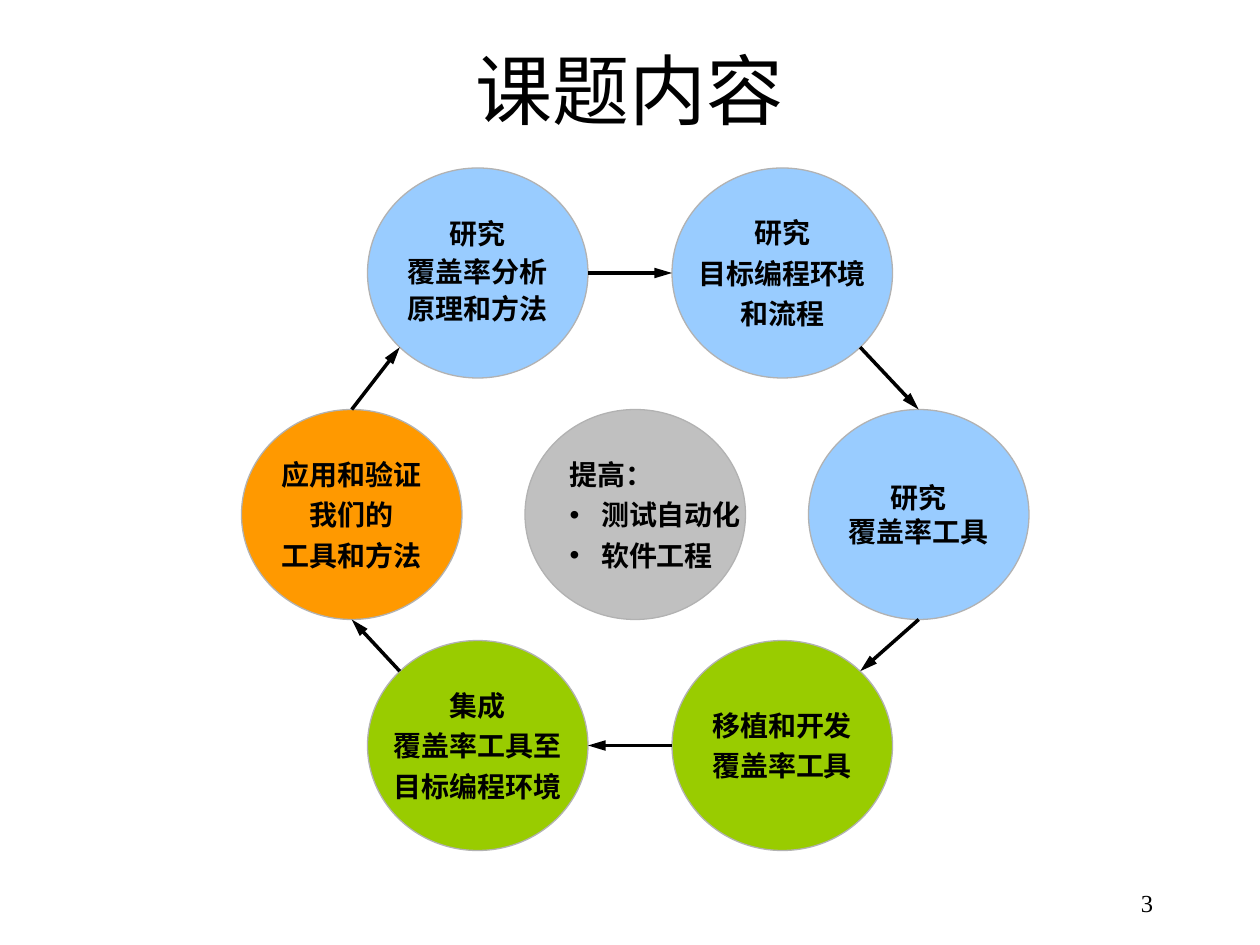
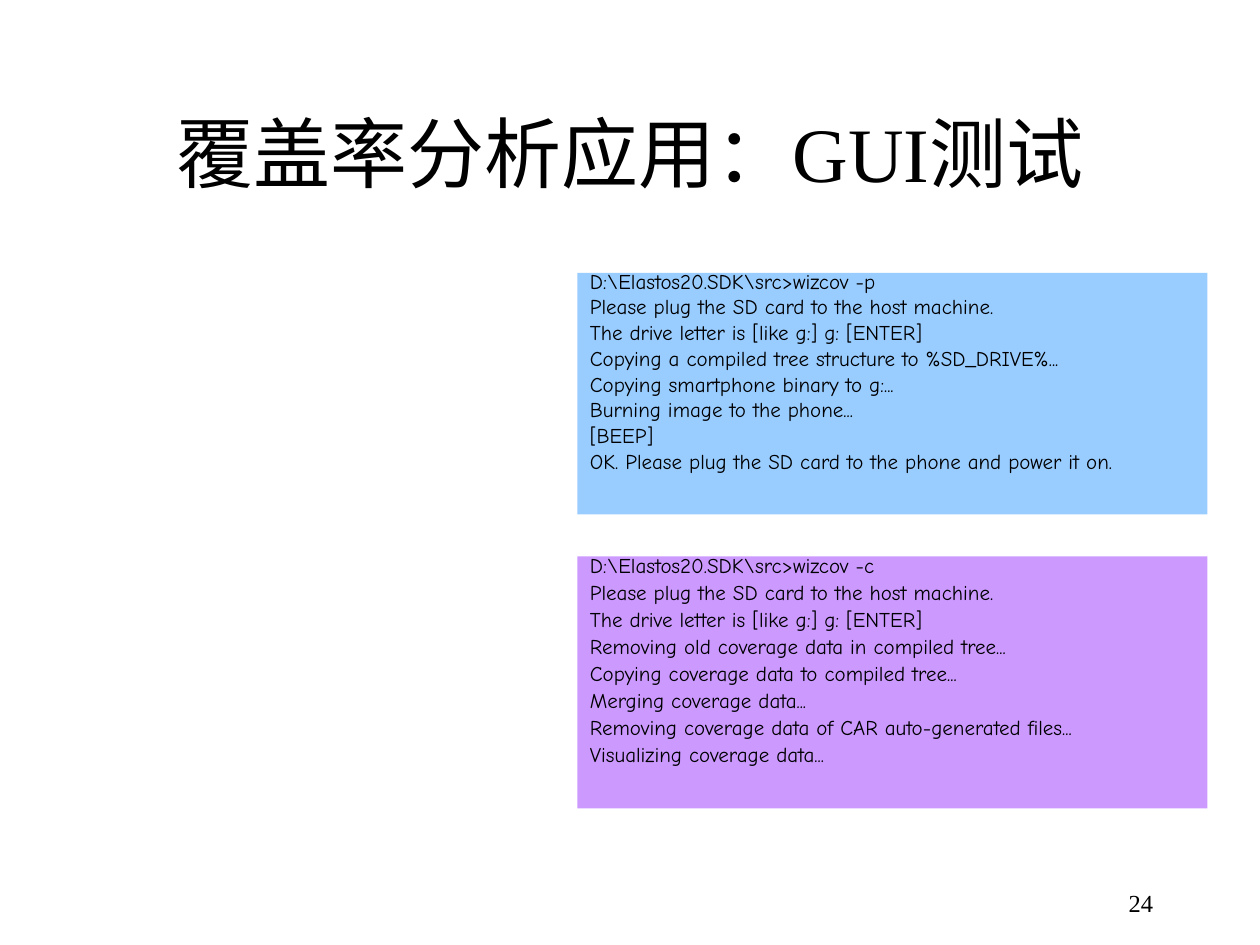
from math import cos, radians, sin

from lxml import etree
from pptx import Presentation
from pptx.dml.color import RGBColor
from pptx.enum.shapes import MSO_CONNECTOR as CONN, MSO_SHAPE as SHAPE
from pptx.enum.text import MSO_ANCHOR as ANCHOR, PP_ALIGN as ALIGN
from pptx.oxml.ns import qn
from pptx.util import Pt

SERIF, COMIC = "Times New Roman", "Comic Neue"
BLACK, GREY, RIM = "000000", "C0C0C0", "B2B2B2"
BLUE, GREEN, ORANGE, VIOLET = "99CCFF", "99CC00", "FF9900", "CC99FF"
CIRCLE_W, CIRCLE_H = 126, 120
TOP, MIDDLE, BOTTOM = 96, 234, 366
BULLET_INDENT = 18

STEPS = [
    (210, TOP, BLUE, ["研究", "覆盖率分析", "原理和方法"],
     dict(before=4, spacing=0.9)),
    (384, TOP, BLUE, ["研究", "目标编程环境", "和流程"], dict(before=4)),
    (462, MIDDLE, BLUE, ["研究", "覆盖率工具"], {}),
    (384, BOTTOM, GREEN, ["移植和开发", "覆盖率工具"], dict(before=4)),
    (210, BOTTOM, GREEN, ["集成", "覆盖率工具至", "目标编程环境"], dict(before=4)),
    (138, MIDDLE, ORANGE, ["应用和验证", "我们的", "工具和方法"], dict(before=4)),
]
ARROW_ANGLES = [(0, 180), (45, 270), (90, 315), (180, 0), (225, 90), (270, 135)]

PLUG_IN = ["Please plug the SD card to the host machine.",
           "The drive letter is [like g:] g: [ENTER]"]
PREPARE_LOG = [
    r"D:\Elastos20.SDK\src>wizcov -p",
    *PLUG_IN,
    "Copying a compiled tree structure to %SD_DRIVE%...",
    "Copying smartphone binary to g:...",
    "Burning image to the phone...",
    "[BEEP]",
    "OK. Please plug the SD card to the phone and power it on.",
]
COLLECT_LOG = [
    r"D:\Elastos20.SDK\src>wizcov -c",
    *PLUG_IN,
    "Removing old coverage data in compiled tree...",
    "Copying coverage data to compiled tree...",
    "Merging coverage data...",
    "Removing coverage data of CAR auto-generated files...",
    "Visualizing coverage data...",
]


def rgb(color):
    """Turn a hex string into a colour."""
    return RGBColor.from_string(color)


def add_bullet(p):
    """Give a paragraph a hanging round bullet."""
    pPr = p._p.get_or_add_pPr()
    pPr.set("marL", str(Pt(BULLET_INDENT)))
    pPr.set("indent", str(-Pt(BULLET_INDENT)))
    etree.SubElement(pPr, qn("a:buFont"), typeface="Arial")
    etree.SubElement(pPr, qn("a:buChar"), char="•")


def write(sp, lines, size, font=SERIF, bold=False, align=ALIGN.LEFT,
          anchor=ANCHOR.TOP, wrap=True, spacing=None, before=0, bullets_from=None):
    """Fill a shape with one paragraph per line."""
    tf = sp.text_frame
    tf.word_wrap, tf.vertical_anchor = wrap, anchor
    for i, line in enumerate(lines):
        p = tf.add_paragraph() if i else tf.paragraphs[0]
        p.alignment = align
        if spacing:
            p.line_spacing = spacing
        if i and before:
            p.space_before = Pt(before)
        if bullets_from is not None and i >= bullets_from:
            add_bullet(p)
        r = p.add_run()
        r.text = line
        r.font.name, r.font.size, r.font.bold = font, Pt(size), bold
        r.font.color.rgb = rgb(BLACK)


def add_text(s, box, text, **style):
    """Add a text box with one line."""
    write(s.shapes.add_textbox(*map(Pt, box)), [text], **style)


def add_filled(s, kind, box, fill, line=None, line_width=0.75):
    """Add a flat preset shape."""
    sp = s.shapes.add_shape(kind, *map(Pt, box))
    sp.shadow.inherit = False
    sp.fill.solid()
    sp.fill.fore_color.rgb = rgb(fill)
    if line:
        sp.line.color.rgb = rgb(line)
        sp.line.width = Pt(line_width)
    else:
        sp.line.fill.background()
    return sp


def add_circle(s, left, top, fill, lines, **style):
    """Add one labelled circle."""
    box = (left, top, CIRCLE_W, CIRCLE_H)
    sp = add_filled(s, SHAPE.OVAL, box, fill, RIM)
    write(sp, lines, 16, bold=True, anchor=ANCHOR.MIDDLE, wrap=False, **style)


def rim_point(left, top, angle):
    """Find the point on a circle's rim, clockwise from the right."""
    a = radians(angle)
    return (Pt(left + CIRCLE_W / 2 * (1 + cos(a))),
            Pt(top + CIRCLE_H / 2 * (1 + sin(a))))


def add_arrow(s, start, end):
    """Draw a straight arrow between two points."""
    c = s.shapes.add_connector(CONN.STRAIGHT, *start, *end)
    c.line.color.rgb = rgb(BLACK)
    c.line.width = Pt(2)
    etree.SubElement(c.line._get_or_add_ln(), qn("a:tailEnd"),
                     type="triangle", w="med", len="lg")
    etree.SubElement(c._element.spPr, qn("a:effectLst"))


def add_log(s, top, height, fill, lines, spacing):
    """Add a coloured panel with console output."""
    sp = add_filled(s, SHAPE.RECTANGLE, (330, top, 360, height), fill)
    write(sp, lines, 12, font=COMIC, spacing=spacing, before=7.5)


def add_slide(prs, title, title_top, number):
    """Add a blank slide with title and page number."""
    s = prs.slides.add_slide(prs.slide_layouts[6])
    add_text(s, (54, title_top, 612, 78), title, size=44,
             align=ALIGN.CENTER, anchor=ANCHOR.MIDDLE)
    add_text(s, (516, 504, 150, 24), str(number), size=14, align=ALIGN.RIGHT)
    return s


def build_topics(prs):
    """Build the cycle of research topics."""
    s = add_slide(prs, "课题内容", 12, 3)
    for left, top, fill, lines, style in STEPS:
        add_circle(s, left, top, fill, lines, align=ALIGN.CENTER, **style)
    for i, (leave, arrive) in enumerate(ARROW_ANGLES):
        following = STEPS[(i + 1) % len(STEPS)]
        add_arrow(s, rim_point(*STEPS[i][:2], leave),
                  rim_point(*following[:2], arrive))
    add_circle(s, 300, MIDDLE, GREY, ["提高：", "测试自动化", "软件工程"],
               font=COMIC, before=4, bullets_from=1)


def build_gui_test(prs):
    """Build the console logs of the GUI test."""
    s = add_slide(prs, "覆盖率分析应用：GUI测试", 48, 24)
    add_log(s, 156, 138, BLUE, PREPARE_LOG, 0.5)
    add_log(s, 318, 144, VIOLET, COLLECT_LOG, 0.55)


def main():
    """Build and save the slides."""
    prs = Presentation()
    prs.slide_width, prs.slide_height = Pt(720), Pt(540)
    build_topics(prs)
    build_gui_test(prs)
    prs.save("out.pptx")


if __name__ == "__main__":
    main()
